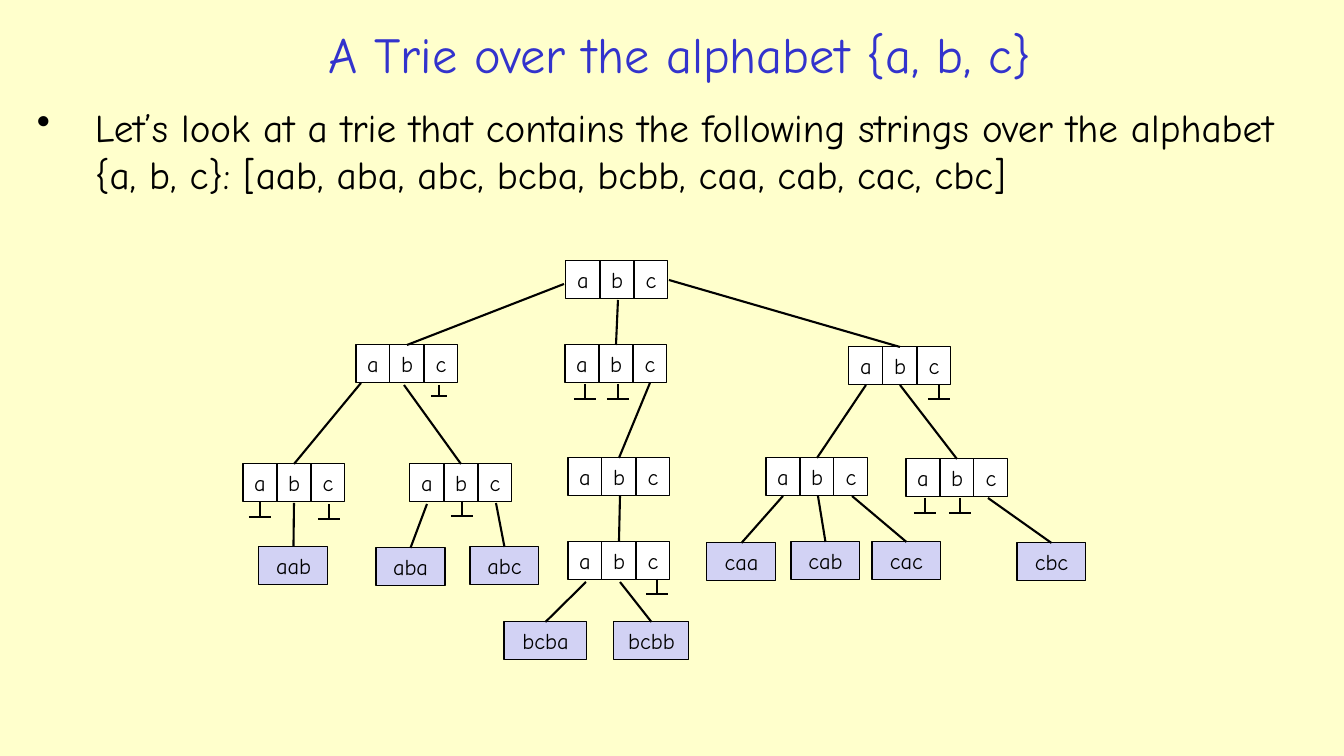
from dataclasses import dataclass
from lxml import etree
from pptx import Presentation
from pptx import util as u
from pptx.dml.color import RGBColor
from pptx.enum import shapes, text
from pptx.oxml import ns

SCALE = 914400 / 100.8


@dataclass(frozen=True)
class Theme:
    font: str = "Comic Neue"
    paper: str = "FFFFCC"
    ink: str = "000000"
    title: str = "3333CC"
    cell: str = "FFFFFF"
    leaf: str = "D2D2F4"
    head: int = 36
    body: int = 28
    label: int = 16
    thin: float = 0.75
    thick: float = 1.5


THEME = Theme()
CELL = 34
HIGH = 38

ROOT = (566, 261)
# FORMAT
NODES = [
    (356, 345, 564, 284),
    (565, 345, 618, 300),
    (849, 347, 669, 280),
    (243, 464, 361, 383),
    (410, 464, 404, 385),
    (568, 458, 650, 383),
    (568, 542, 620, 496),
    (766, 458, 866, 385),
    (906, 459, 900, 385),
]
LEAVES = [
    ("aab", 259, 547, 69, 294, 503),
    ("aba", 376, 548, 69, 427, 504),
    ("abc", 470, 547, 69, 496, 503),
    ("bcba", 504, 622, 83, 586, 582),
    ("bcbb", 614, 622, 75, 620, 582),
    ("caa", 707, 543, 69, 783, 496),
    ("cab", 791, 542, 69, 818, 496),
    ("cac", 872, 542, 69, 852, 496),
    ("cbc", 1017, 543, 69, 988, 498),
]
NULLS = [(260, 502), (329, 504), (462, 501), (585, 384), (618, 384),
         (939, 384), (925, 498), (960, 498), (657, 579)]


def px(*vals):
    return [u.Emu(round(v * SCALE)) for v in vals]


def write(frame, words, size=THEME.label, color=THEME.ink,
          align=text.PP_ALIGN.CENTER, anchor=text.MSO_ANCHOR.MIDDLE,
          wrap=True, bullet=0):
    frame.word_wrap = wrap
    frame.vertical_anchor = anchor
    para = frame.paragraphs[0]
    para.text = words
    para.alignment = align
    if bullet:
        props = para._p.get_or_add_pPr()
        indent = px(bullet)[0]
        props.set("marL", str(indent))
        props.set("indent", str(-indent))
        etree.SubElement(props, ns.qn("a:buChar")).set("char", "•")
    font = para.runs[0].font
    font.name = THEME.font
    font.size = u.Pt(size)
    font.color.rgb = RGBColor.from_string(color)


def label(slide, words, x, y, w, h, **style):
    box = slide.shapes.add_textbox(*px(x, y, w, h))
    write(box.text_frame, words, **style)


def block(slide, words, x, y, w, fill):
    box = slide.shapes.add_shape(shapes.MSO_SHAPE.RECTANGLE, *px(x, y, w, HIGH))
    box.shadow.inherit = False
    box.fill.solid()
    box.fill.fore_color.rgb = RGBColor.from_string(fill)
    box.line.color.rgb = RGBColor.from_string(THEME.ink)
    box.line.width = u.Pt(THEME.thin)
    frame = box.text_frame
    frame.margin_left = frame.margin_right = 0
    frame.margin_top = frame.margin_bottom = 0
    write(frame, words, wrap=False)


def stroke(parts, *ends):
    line = parts.add_connector(shapes.MSO_CONNECTOR.STRAIGHT, *px(*ends))
    line.line.color.rgb = RGBColor.from_string(THEME.ink)
    line.line.width = u.Pt(THEME.thick)
    etree.SubElement(line._element.spPr, ns.qn("a:effectLst"))


def node(slide, x, y):
    for i, key in enumerate("abc"):
        block(slide, key, x + i * CELL, y, CELL, THEME.cell)


def null(slide, x, y, drop=15, half=11):
    parts = slide.shapes.add_group_shape().shapes
    stroke(parts, x, y, x, y + drop)
    stroke(parts, x - half, y + drop, x + half, y + drop)


def main():
    deck = Presentation()
    deck.slide_width, deck.slide_height = px(1344, 756)
    slide = deck.slides.add_slide(deck.slide_layouts[6])
    back = slide.background.fill
    back.solid()
    back.fore_color.rgb = RGBColor.from_string(THEME.paper)

    label(slide, "A Trie over the alphabet {a, b, c}", 199, 15, 962, 77,
          size=THEME.head, color=THEME.title)
    label(slide, "Let’s look at a trie that contains the following strings over "
          "the alphabet {a, b, c}: [aab, aba, abc, bcba, bcbb, caa, cab, cac, cbc]",
          27, 98, 1276, 125, size=THEME.body, align=text.PP_ALIGN.LEFT,
          anchor=text.MSO_ANCHOR.TOP, bullet=58)

    node(slide, *ROOT)
    for x, y, *start in NODES:
        node(slide, x, y)
        stroke(slide.shapes, *start, x + CELL * 1.5, y)
    for word, x, y, w, *start in LEAVES:
        block(slide, word, x, y, w, THEME.leaf)
        stroke(slide.shapes, *start, x + w / 2, y)
    for x, y in NULLS:
        null(slide, x, y)
    null(slide, 439, 385, drop=11, half=8)
    deck.save("out.pptx")


if __name__ == "__main__":
    main()
